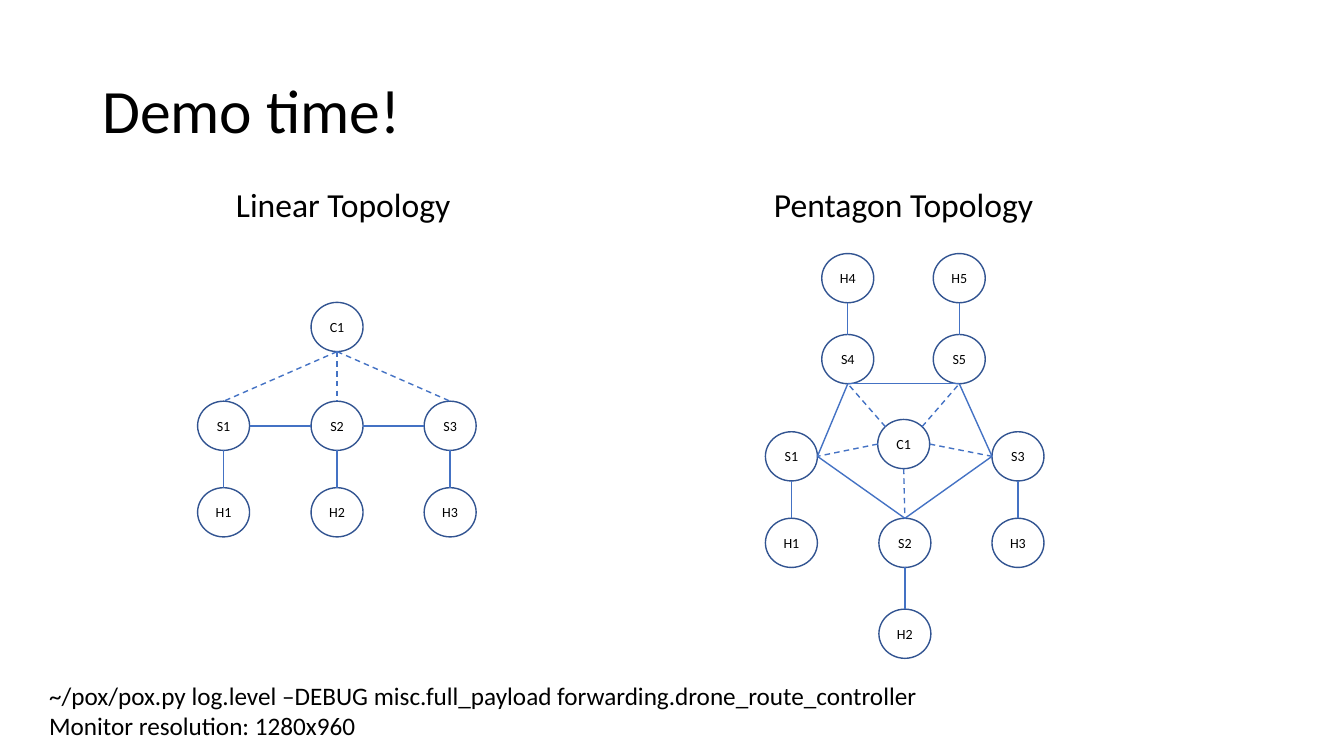
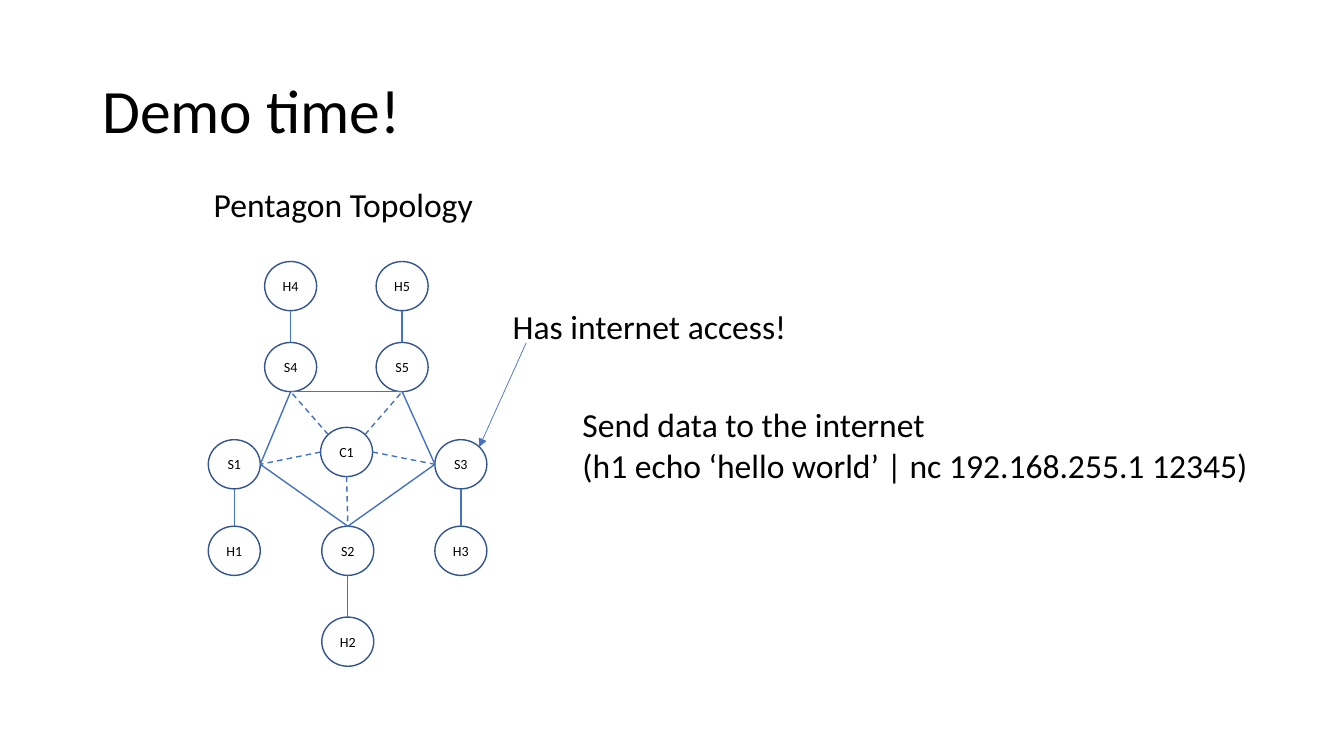
"""Build two demo slides of controller, switch and host network topologies."""
from lxml.etree import SubElement
from pptx import Presentation
from pptx.dml.color import RGBColor
from pptx.enum.dml import MSO_LINE
from pptx.enum.shapes import MSO_CONNECTOR, MSO_SHAPE
from pptx.enum.text import MSO_ANCHOR, MSO_AUTO_SIZE, PP_ALIGN
from pptx.oxml.ns import qn
from pptx.util import Cm, Pt

COLORS = {"text": "000000", "node": "325491", "link": "4472C4"}
FONT = "Calibri"
NODE_W, NODE_H = 1.31, 1.24
SITES = {
    "top": (0, 0.5, 0), "top left": (1, 0.146, 0.146),
    "left": (2, 0, 0.5), "bottom": (4, 0.5, 1),
    "right": (6, 1, 0.5), "top right": (7, 0.854, 0.146),
}

COLUMNS = (0, 2.86, 5.71)
LINEAR_NODES = {"C1": (COLUMNS[1], 0)}
for number, column in enumerate(COLUMNS, 1):
    LINEAR_NODES[f"S{number}"] = (column, 2.49)
    LINEAR_NODES[f"H{number}"] = (column, 4.67)
HOST_LINKS = [(f"H{n}", "top", f"S{n}", "bottom") for n in (1, 2, 3)]
LINEAR_LINKS = HOST_LINKS + [
    ("S1", "right", "S2", "left"),
    ("S2", "right", "S3", "left"),
]
LINEAR_CONTROL = [("C1", "bottom", f"S{n}", "top") for n in (1, 2, 3)]

PENTAGON_NODES = {
    "H4": (1.42, 0), "H5": (4.23, 0),
    "S4": (1.42, 2.04), "S5": (4.23, 2.04),
    "S1": (COLUMNS[0], 4.49), "S3": (COLUMNS[2], 4.49),
    "C1": (2.83, 4.18),
    "H1": (COLUMNS[0], 6.67), "S2": (COLUMNS[1], 6.67),
    "H3": (COLUMNS[2], 6.67), "H2": (COLUMNS[1], 8.96),
}
PENTAGON_LINKS = HOST_LINKS + [
    ("H4", "bottom", "S4", "top"),
    ("H5", "bottom", "S5", "top"),
    ("S1", "right", "S2", "top"),
    ("S3", "left", "S2", "top"),
    ("S1", "right", "S4", "bottom"),
    ("S3", "left", "S5", "bottom"),
    ("S4", "bottom", "S5", "bottom"),
]
PENTAGON_CONTROL = [
    ("C1", "top left", "S4", "bottom"),
    ("C1", "top right", "S5", "bottom"),
    ("C1", "left", "S1", "right"),
    ("C1", "bottom", "S2", "top"),
    ("C1", "right", "S3", "left"),
]


class Deck:
    """Hold the presentation, its style and the current slide."""

    def __init__(self):
        self.prs = Presentation()
        self.prs.slide_width, self.prs.slide_height = Cm(33.87), Cm(19.05)
        self.slide = None

    def new_slide(self, title):
        self.slide = self.prs.slides.add_slide(self.prs.slide_layouts[6])
        heading = self.text([title], 2.33, 1.01, 29.21, 3.68, 44)
        heading.auto_size = MSO_AUTO_SIZE.NONE
        heading.vertical_anchor = MSO_ANCHOR.MIDDLE
        heading.paragraphs[0].line_spacing = 0.9

    def fill_text(self, frame, lines, size, align):
        for index, line in enumerate(lines):
            paragraph = frame.add_paragraph() if index else frame.paragraphs[0]
            paragraph.text = line
            paragraph.alignment = align
            paragraph.font.name = FONT
            paragraph.font.size = Pt(size)
            paragraph.font.color.rgb = RGBColor.from_string(COLORS["text"])

    def text(self, lines, left, top, width, height, size=24, align=PP_ALIGN.LEFT):
        box = self.slide.shapes.add_textbox(Cm(left), Cm(top), Cm(width), Cm(height))
        frame = box.text_frame
        frame.word_wrap = True
        frame.auto_size = MSO_AUTO_SIZE.SHAPE_TO_FIT_TEXT
        self.fill_text(frame, lines, size, align)
        return frame

    def caption(self, label, left):
        self.text([label], left, 4.5, 9.22, 1.27, align=PP_ALIGN.CENTER)

    def node(self, shapes, label, left, top):
        circle = shapes.add_shape(
            MSO_SHAPE.OVAL, Cm(left), Cm(top), Cm(NODE_W), Cm(NODE_H))
        circle.shadow.inherit = False
        circle.fill.background()
        circle.line.color.rgb = RGBColor.from_string(COLORS["node"])
        circle.line.width = Pt(1)
        frame = circle.text_frame
        frame.word_wrap = False
        frame.vertical_anchor = MSO_ANCHOR.MIDDLE
        frame.margin_left = frame.margin_right = 0
        frame.margin_top = frame.margin_bottom = 0
        self.fill_text(frame, [label], 10, PP_ALIGN.CENTER)
        return circle

    def site(self, node, side):
        _, across, down = SITES[side]
        return (node.left + round(node.width * across),
                node.top + round(node.height * down))

    def line(self, shapes, start, end, width=1):
        link = shapes.add_connector(MSO_CONNECTOR.STRAIGHT, *start, *end)
        link.line.color.rgb = RGBColor.from_string(COLORS["link"])
        link.line.width = Pt(width)
        SubElement(link._element.spPr, qn("a:effectLst"))
        return link

    def glue(self, link, tag, node, side):
        SubElement(link._element.nvCxnSpPr.cNvCxnSpPr, qn(tag),
                   id=str(node.shape_id), idx=str(SITES[side][0]))

    def connect(self, shapes, source, source_side, target, target_side):
        link = self.line(shapes, self.site(source, source_side),
                         self.site(target, target_side))
        self.glue(link, "a:stCxn", source, source_side)
        self.glue(link, "a:endCxn", target, target_side)
        return link

    def arrow(self, start, target, side):
        pointer = self.line(self.slide.shapes, start, self.site(target, side), 0.5)
        self.glue(pointer, "a:endCxn", target, side)
        outline = pointer._element.spPr.find(qn("a:ln"))
        SubElement(outline, qn("a:tailEnd"), type="triangle")

    def topology(self, left, top, positions, links, control):
        shapes = self.slide.shapes.add_group_shape().shapes
        nodes = {label: self.node(shapes, label, left + x, top + y)
                 for label, (x, y) in positions.items()}
        for source, source_side, target, target_side in links + control:
            link = self.connect(shapes, nodes[source], source_side,
                                nodes[target], target_side)
            if source == "C1":
                link.line.dash_style = MSO_LINE.DASH
        return nodes

    def pentagon(self, left, top):
        return self.topology(left, top, PENTAGON_NODES, PENTAGON_LINKS,
                             PENTAGON_CONTROL)


deck = Deck()

deck.new_slide("Demo time!")
deck.topology(4.98, 7.62, LINEAR_NODES, LINEAR_LINKS, LINEAR_CONTROL)
deck.pentagon(19.29, 6.39)
deck.caption("Linear Topology", 4.04)
deck.caption("Pentagon Topology", 18.16)
deck.text(["~/pox/pox.py log.level –DEBUG misc.full_payload "
           "forwarding.drone_route_controller",
           "Monitor resolution: 1280x960"], 0.99, 17.02, 23.09, 1.8, 18)

deck.new_slide("Demo time!")
deck.text(["Send data to the internet",
           "(h1 echo ‘hello world’ | nc 192.168.255.1 12345)"],
          14.43, 10.06, 17.93, 2.31)
pentagon = deck.pentagon(5.25, 6.59)
deck.caption("Pentagon Topology", 4.04)
deck.text(["Has internet access!"], 12.67, 7.59, 8.74, 1.27)
deck.arrow((Cm(13.26), Cm(8.64)), pentagon["S3"], "top right")

deck.prs.save("out.pptx")
